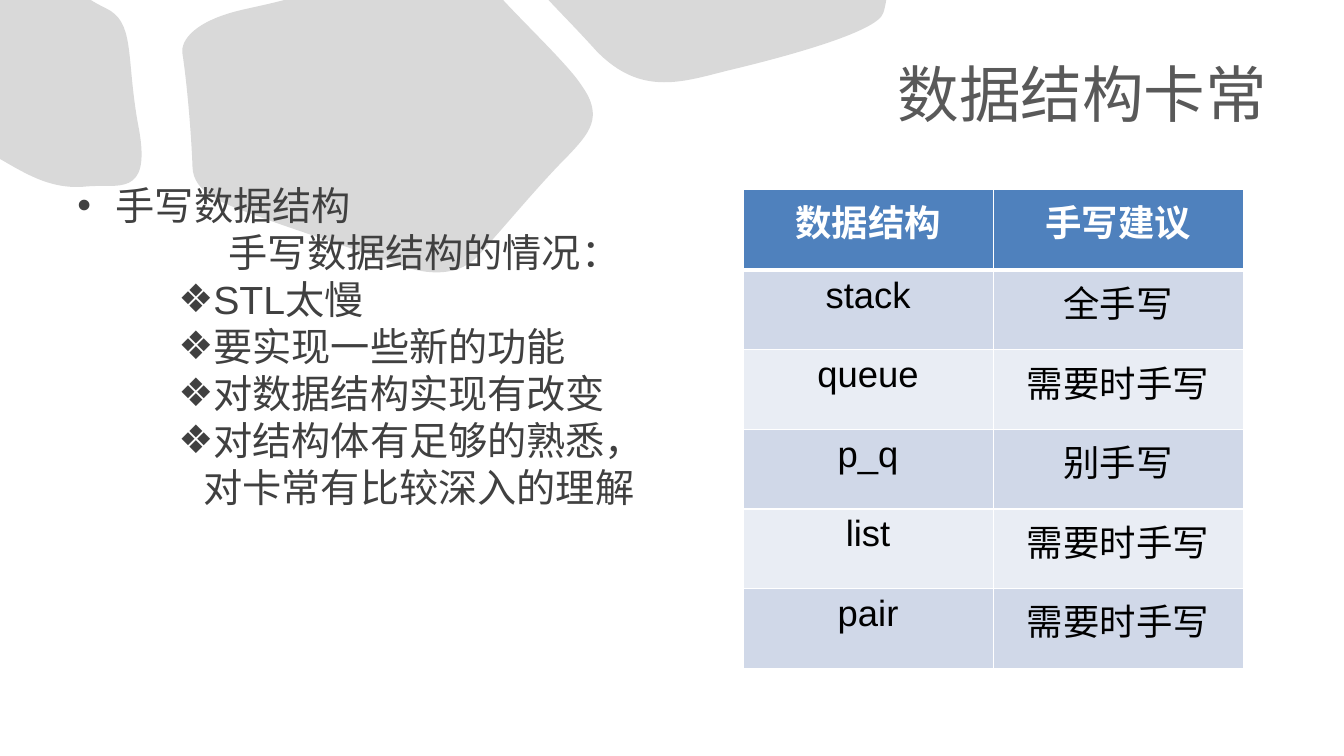
from dataclasses import dataclass

from lxml import etree
from pptx import Presentation
from pptx import util as u
from pptx.dml.color import RGBColor
from pptx.enum import text
from pptx.oxml import ns

PX = 9144  # EMU in one px, 100 px to the inch
FONT = "Arial"
COLORS = {
    "blob": "D9D9D9",
    "title": "595959",
    "body": "404040",
    "header": "4F81BD",
    "band_dark": "D0D8E8",
    "band_light": "E9EDF4",
    "white": "FFFFFF",
    "black": "000000",
}
Point = tuple[int, int]


@dataclass
class Blob:
    """Outline whose segments hold one point (line) or three (Bézier curve)."""
    start: Point
    segments: list[tuple[Point, ...]]


@dataclass
class BodyLine:
    wording: str
    margin: int
    indent: int = 0
    bullet: str = ""


BLOBS = [
    Blob((544, 0), [
        ((557, 14), (573, 30), (591, 50)),
        ((637, 98), (680, 80), (726, 69)),
        ((776, 57), (870, 32), (876, 13)),
        ((877, 10), (878, 6), (879, 0)),
    ]),
    Blob((110, 11), [
        ((105, 8), (98, 5), (90, 0)),
        ((-3, 0),),
        ((-3, 156),),
        ((22, 170), (49, 189), (86, 185)),
        ((116, 182), (150, 197), (138, 129)),
        ((125, 62), (134, 27), (110, 11)),
    ]),
    Blob((499, 0), [
        ((282, 0),),
        ((267, 4), (252, 7), (239, 10)),
        ((193, 21), (179, 40), (181, 53)),
        ((186, 86), (190, 137), (191, 166)),
        ((192, 191), (220, 201), (246, 211)),
        ((269, 220), (371, 254), (394, 262)),
        ((394, 262), (445, 285), (474, 254)),
        ((503, 222), (535, 183), (562, 156)),
        ((585, 132), (599, 116), (577, 85)),
        ((565, 66), (523, 26), (499, 0)),
    ]),
]

BODY = [
    BodyLine("手写数据结构", 38, -38, "•"),
    BodyLine("手写数据结构的情况：", 150),
    *(BodyLine(wording, 125, -25, "❖") for wording in (
        "STL太慢",
        "要实现一些新的功能",
        "对数据结构实现有改变",
        "对结构体有足够的熟悉，对卡常有比较深入的理解",
    )),
]

ROWS = [
    ("数据结构", "手写建议"),
    ("stack", "全手写"),
    ("queue", "需要时手写"),
    ("p_q", "别手写"),
    ("list", "需要时手写"),
    ("pair", "需要时手写"),
]


def rgb(name: str) -> RGBColor:
    return RGBColor.from_string(COLORS[name])


def format_runs(paragraph, size: int, color: str, bold: bool = False) -> None:
    for run in paragraph.runs:
        run.font.name = FONT
        run.font.size = u.Pt(size)
        run.font.bold = bold
        run.font.color.rgb = rgb(color)


def add_blob(slide, blob: Blob) -> None:
    # The frame spans every point, control points included
    points = [blob.start, *(point for segment in blob.segments for point in segment)]
    left, top = (min(values) for values in zip(*points))
    right, bottom = (max(values) for values in zip(*points))
    builder = slide.shapes.build_freeform(*blob.start, scale=PX)
    builder.add_line_segments([segment[-1] for segment in blob.segments], close=True)
    shape = builder.convert_to_shape()
    shape.left, shape.top = left * PX, top * PX
    shape.width, shape.height = (right - left) * PX, (bottom - top) * PX

    # Turn the three-point segments into curves
    outline = next(shape._element.iter(ns.qn("a:path")))
    outline.set("w", str(right - left))
    outline.set("h", str(bottom - top))
    for command, segment in zip(list(outline), [(blob.start,), *blob.segments]):
        curved = len(segment) == 3
        drawn = etree.Element(ns.qn("a:cubicBezTo")) if curved else command
        for child in list(drawn):
            drawn.remove(child)
        for x, y in segment:
            etree.SubElement(drawn, ns.qn("a:pt"), x=str(x - left), y=str(y - top))
        if curved:
            outline.replace(command, drawn)

    shape.shadow.inherit = False
    shape.fill.solid()
    shape.fill.fore_color.rgb = rgb("blob")
    shape.line.fill.background()


def add_text_box(slide, left: int, top: int, width: int, height: int):
    box = slide.shapes.add_textbox(left * PX, top * PX, width * PX, height * PX)
    box.text_frame.word_wrap = True
    return box.text_frame


def add_body_line(paragraph, line: BodyLine) -> None:
    paragraph.text = line.wording
    format_runs(paragraph, 28, "body")
    properties = paragraph._p.get_or_add_pPr()
    properties.set("marL", str(line.margin * PX))
    properties.set("indent", str(line.indent * PX))
    if line.bullet:
        font = etree.SubElement(properties, ns.qn("a:buFont"))
        font.set("typeface", FONT)
        etree.SubElement(properties, ns.qn("a:buChar")).set("char", line.bullet)


def set_borders(cell, widths: dict[str, int]) -> None:
    properties = cell._tc.get_or_add_tcPr()
    for position, (side, width) in enumerate(widths.items()):
        line = etree.Element(ns.qn(f"a:ln{side}"), w=str(u.Pt(width)))
        fill = etree.SubElement(line, ns.qn("a:solidFill"))
        etree.SubElement(fill, ns.qn("a:srgbClr")).set("val", COLORS["white"])
        properties.insert(position, line)


def add_advice_table(slide) -> None:
    header_height, row_height, column_width = 80, 79, 248
    frame = slide.shapes.add_table(
        len(ROWS), len(ROWS[0]), 737 * PX, 188 * PX,
        column_width * len(ROWS[0]) * PX, row_height * len(ROWS) * PX)
    frame.table.rows[0].height = header_height * PX
    for row_index, row in enumerate(ROWS):
        header = row_index == 0
        band = "band_dark" if row_index % 2 else "band_light"
        for column_index, wording in enumerate(row):
            cell = frame.table.cell(row_index, column_index)
            cell.fill.solid()
            cell.fill.fore_color.rgb = rgb("header" if header else band)
            top, bottom = 3 if row_index == 1 else 1, 3 if header else 1
            set_borders(cell, {"L": 1, "R": 1, "T": top, "B": bottom})
            paragraph = cell.text_frame.paragraphs[0]
            paragraph.text = wording
            paragraph.alignment = text.PP_ALIGN.CENTER
            format_runs(paragraph, 26, "white" if header else "black", header)


def main() -> None:
    presentation = Presentation()
    presentation.slide_width, presentation.slide_height = 1333 * PX, 750 * PX
    slide = presentation.slides.add_slide(presentation.slide_layouts[6])

    # Background shapes
    for blob in BLOBS:
        add_blob(slide, blob)

    # Title
    title = add_text_box(slide, 67, 30, 1200, 125)
    title.vertical_anchor = text.MSO_ANCHOR.MIDDLE
    title.text = "数据结构卡常"
    title.paragraphs[0].alignment = text.PP_ALIGN.RIGHT
    format_runs(title.paragraphs[0], 44, "title")

    # Bulleted text
    body = add_text_box(slide, 67, 175, 589, 495)
    for index, line in enumerate(BODY):
        paragraph = body.add_paragraph() if index else body.paragraphs[0]
        add_body_line(paragraph, line)

    # Table
    add_advice_table(slide)
    presentation.save("out.pptx")


if __name__ == "__main__":
    main()
